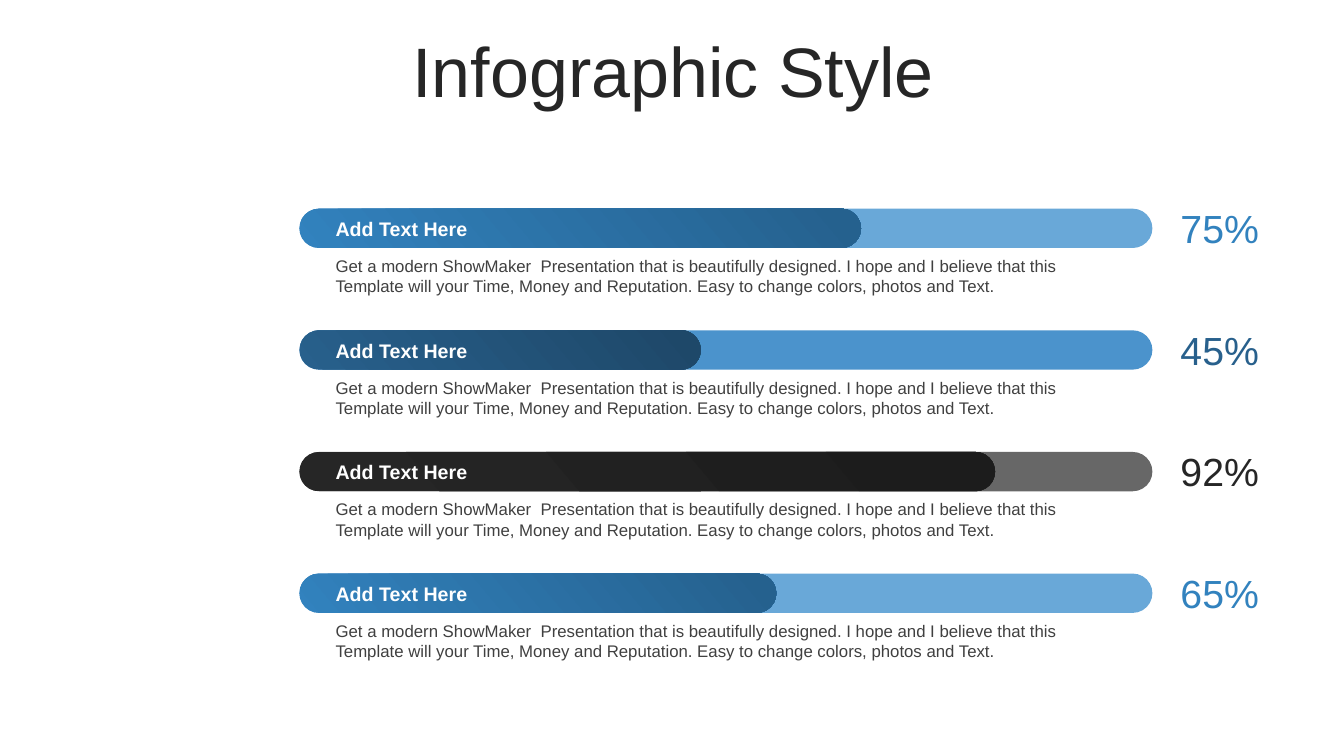
from dataclasses import dataclass

from pptx import Presentation
from pptx.dml.color import RGBColor
from pptx.enum.shapes import MSO_SHAPE
from pptx.enum.text import MSO_ANCHOR, MSO_AUTO_SIZE, PP_ALIGN
from pptx.util import Inches, Pt


@dataclass(frozen=True)
class Theme:
    font: str = "Arial"
    ink: str = "262626"
    body: str = "404040"
    white: str = "FFFFFF"
    # Each palette: track, bar start, bar end
    blue: tuple = ("69A8D8", "3282BE", "25618E")
    navy: tuple = ("4B93CC", "28608C", "1E4869")
    black: tuple = ("676767", "262626", "1C1C1C")
    title_pt: int = 50
    rate_pt: int = 28
    label_pt: int = 14
    note_pt: int = 12


THEME = Theme()
NOTE = ("Get a modern ShowMaker  Presentation that is beautifully designed. "
        "I hope and I believe that this Template will your Time, Money and "
        "Reputation. Easy to change colors, photos and Text.")

# Label, percentage, bar length in inches, palette
ROWS = [
    ("Add Text Here", "75%", 5.57, THEME.blue),
    ("Add Text Here", "45%", 3.98, THEME.navy),
    ("Add Text Here", "92%", 6.9, THEME.black),
    ("Add Text Here", "65%", 4.73, THEME.blue),
]


def style(frame, text, size, color, bold=False):
    frame.text = text
    font = frame.paragraphs[0].runs[0].font
    font.name, font.size, font.bold = THEME.font, Pt(size), bold
    font.color.rgb = RGBColor.from_string(color)


def add_text(slide, box, text, size, color, bold=False, wrap=True,
             anchor=MSO_ANCHOR.TOP):
    frame = slide.shapes.add_textbox(*map(Inches, box)).text_frame
    style(frame, text, size, color, bold)
    frame.word_wrap = wrap
    frame.auto_size = MSO_AUTO_SIZE.SHAPE_TO_FIT_TEXT
    frame.vertical_anchor = anchor


def add_pill(slide, box, *colors):
    """Draw a rounded bar: one colour is solid, two make a gradient."""
    pill = slide.shapes.add_shape(MSO_SHAPE.ROUNDED_RECTANGLE,
                                  *map(Inches, box))
    pill.adjustments[0] = 0.5
    pill.shadow.inherit = False
    pill.line.fill.background()
    if len(colors) == 1:
        pill.fill.solid()
        pill.fill.fore_color.rgb = RGBColor.from_string(colors[0])
        return
    pill.fill.gradient()
    pill.fill.gradient_angle = 40
    for stop, place, color in zip(pill.fill.gradient_stops, (0, 0.96), colors):
        stop.position = place
        stop.color.rgb = RGBColor.from_string(color)


def add_title(slide, box, text):
    title = slide.shapes.title
    title.left, title.top, title.width, title.height = map(Inches, box)
    frame = title.text_frame
    style(frame, text, THEME.title_pt, THEME.ink)
    frame.auto_size = MSO_AUTO_SIZE.NONE
    frame.vertical_anchor = MSO_ANCHOR.MIDDLE
    frame.paragraphs[0].alignment = PP_ALIGN.CENTER
    frame.paragraphs[0].line_spacing = 0.8


def add_row(slide, box, label, rate, length, colors):
    left, top, width, height = box
    track, start, end = colors
    # Track and progress bar
    add_pill(slide, box, track)
    add_pill(slide, (left, top, length, height), start, end)
    # Note, label and percentage
    add_text(slide, (left + 0.26, top + 0.42, 8.05, 0.5), NOTE,
             THEME.note_pt, THEME.body)
    add_text(slide, (left + 0.26, top + 0.03, 2.79, 0.34), label,
             THEME.label_pt, THEME.white, bold=True, anchor=MSO_ANCHOR.MIDDLE)
    add_text(slide, (left + width + 0.18, top - 0.09, 0.99, 0.57), rate,
             THEME.rate_pt, start, wrap=False)


def add_rows(slide, box):
    left, top, width, height = box
    bar = 0.39
    step = (height - bar) / (len(ROWS) - 1)
    for i, row in enumerate(ROWS):
        add_row(slide, (left, top + i * step, width, bar), *row)


def main():
    deck = Presentation()
    deck.slide_width, deck.slide_height = Inches(13.33), Inches(7.5)
    slide = deck.slides.add_slide(deck.slide_layouts.get_by_name("Title Only"))
    add_title(slide, (0.35, 0.37, 12.66, 0.79), "Infographic Style")
    add_rows(slide, (2.97, 2.07, 8.46, 4.01))
    deck.save("out.pptx")


if __name__ == "__main__":
    main()
